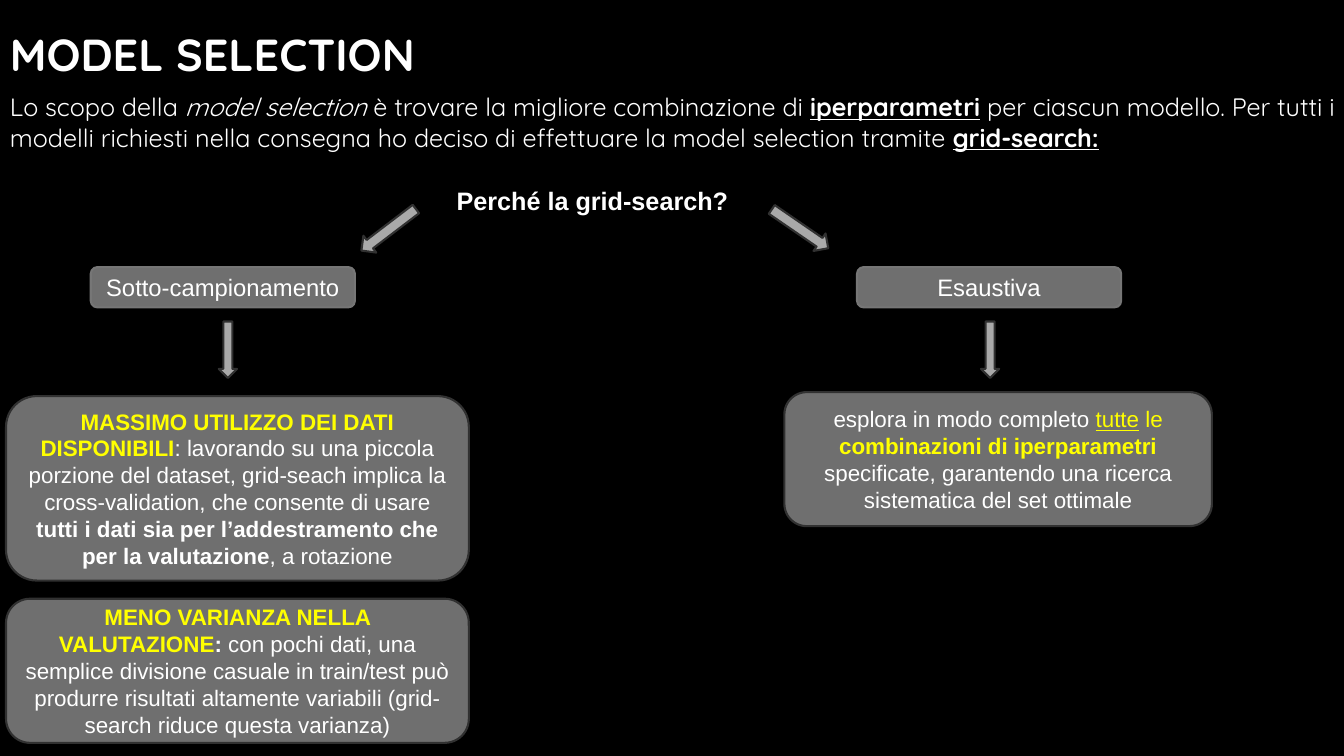
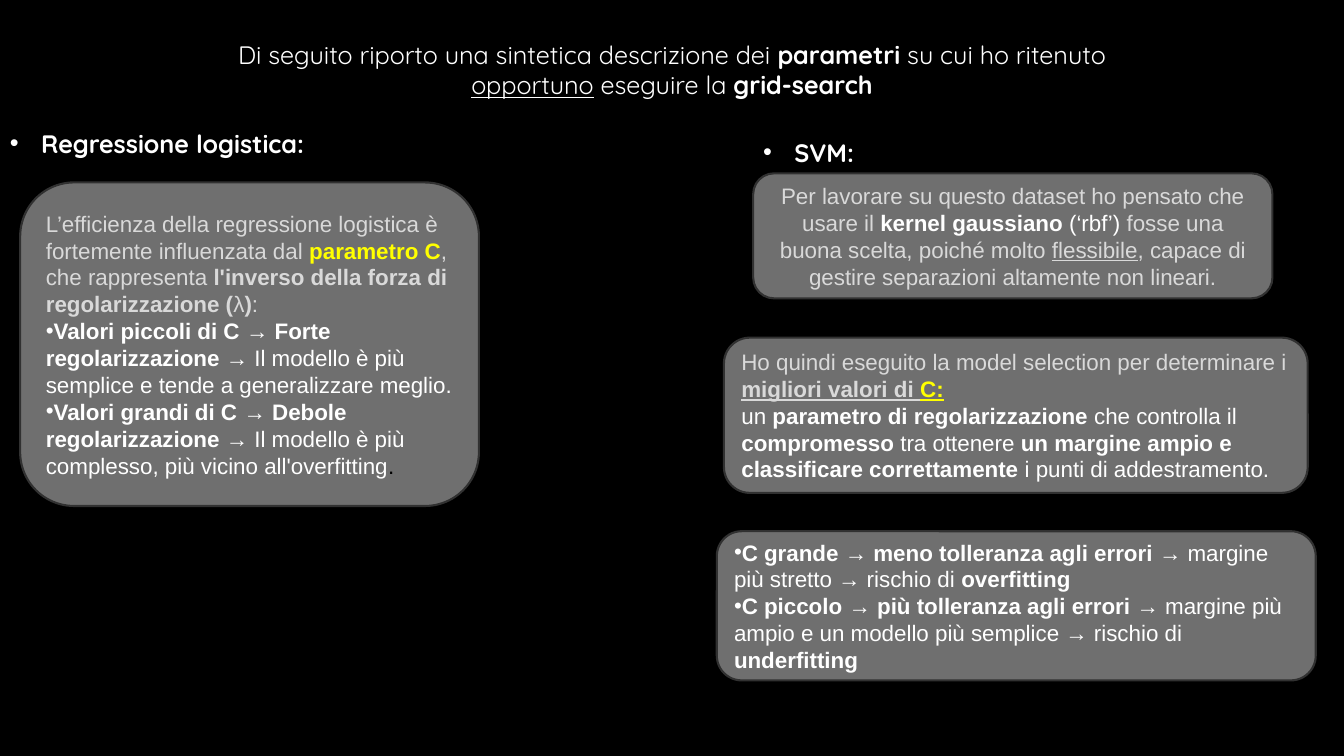
"""Build two dark slides on model selection with grid-search."""
from dataclasses import dataclass

from lxml import etree
from pptx import Presentation
from pptx.dml.color import RGBColor
from pptx.enum import shapes, text
from pptx.oxml import ns
from pptx.util import Inches, Pt


@dataclass(frozen=True)
class Theme:
    """Colours, fonts and type sizes shared by the slides."""
    background: str = "000000"
    white: str = "FFFFFF"
    muted: str = "D9D9D9"
    accent: str = "FFFF00"
    card: str = "6F6F6F"
    arrow: str = "A9A9A9"
    outline: str = "313131"
    tag_outline: str = "767676"
    heading_font: str = "Quicksand"
    body_font: str = "Arial"
    title_size: int = 32
    lead_size: int = 18
    tag_size: int = 17
    card_size: int = 16


THEME = Theme()
RUN_COLOURS = {"y": THEME.accent, "g": THEME.muted, "k": THEME.background}
CENTER = text.PP_ALIGN.CENTER
LEFT = text.PP_ALIGN.LEFT
CARD_WIDTH = 4.59
TAG_TOP = 2.65
DOWN_TOP = 3.19


def rgb(value):
    """Turn a hex string into a colour."""
    return RGBColor.from_string(value)


def add_bullet(p, indent):
    """Give a paragraph a round bullet with a hanging indent."""
    props = p._p.get_or_add_pPr()
    props.set("marL", str(Inches(indent)))
    props.set("indent", str(-Inches(indent)))
    etree.SubElement(props, ns.qn("a:buFont")).set("typeface", THEME.body_font)
    etree.SubElement(props, ns.qn("a:buChar")).set("char", "•")


def add_run(p, words, flags, font, size):
    """Add a run; flags are b, i, u for style and y, g, k for colour."""
    r = p.add_run()
    r.text = words
    r.font.name = font
    r.font.size = Pt(size)
    r.font.bold = "b" in flags
    r.font.italic = "i" in flags
    r.font.underline = "u" in flags
    colour = next((RUN_COLOURS[f] for f in flags if f in RUN_COLOURS), THEME.white)
    r.font.color.rgb = rgb(colour)


def write(tf, paragraphs, font, size, align=LEFT, bullets=(), indent=0.0):
    """Fill a text frame; bullets lists the indexes of bulleted paragraphs."""
    for index, runs in enumerate(paragraphs):
        p = tf.add_paragraph() if index else tf.paragraphs[0]
        p.alignment = align
        if index in bullets:
            add_bullet(p, indent)
        for words, flags in runs:
            add_run(p, words, flags, font, size)


def add_text(s, box, runs, font=THEME.heading_font, size=THEME.lead_size,
             align=LEFT, anchor=text.MSO_ANCHOR.TOP, wrap=True, bullets=()):
    """Add a one-paragraph text box."""
    tf = s.shapes.add_textbox(*map(Inches, box)).text_frame
    tf.word_wrap = wrap
    tf.vertical_anchor = anchor
    write(tf, [runs], font, size, align, bullets, 0.31)


def add_block(s, kind, box, fill, outline):
    """Add a flat filled shape with a thin outline."""
    sp = s.shapes.add_shape(kind, *map(Inches, box))
    sp.shadow.inherit = False
    sp.fill.solid()
    sp.fill.fore_color.rgb = rgb(fill)
    sp.line.color.rgb = rgb(outline)
    sp.line.width = Pt(1.5)
    return sp


def add_card(s, box, paragraphs, align=LEFT, bullets=(),
             size=THEME.card_size, outline=THEME.outline):
    """Add a rounded grey card holding text."""
    sp = add_block(s, shapes.MSO_SHAPE.ROUNDED_RECTANGLE, box, THEME.card, outline)
    tf = sp.text_frame
    tf.word_wrap = True
    tf.vertical_anchor = text.MSO_ANCHOR.MIDDLE
    write(tf, paragraphs, THEME.body_font, size, align, bullets)


def add_tag(s, left, words):
    """Add a short centred label card."""
    add_card(s, (left, TAG_TOP, 2.62, 0.4), [[(words, "")]], CENTER,
             size=THEME.tag_size, outline=THEME.tag_outline)


def add_arrow(s, box, rotation=0):
    """Add a block arrow pointing down, then turned."""
    sp = add_block(s, shapes.MSO_SHAPE.DOWN_ARROW, box, THEME.arrow, THEME.outline)
    sp.rotation = rotation


def build_selection(s):
    """Build the slide on why grid-search was chosen."""
    add_text(s, (0, 0, 5.22, 1.06), [("MODEL SELECTION", "b")],
             size=THEME.title_size, anchor=text.MSO_ANCHOR.MIDDLE)
    add_text(s, (0, 0.86, 13.35, 0.71), [
        ("Lo scopo della ", ""), ("model selection", "i"),
        (" è trovare la migliore combinazione di ", ""), ("iperparametri", "bu"),
        (" per ciascun modello. Per tutti i modelli richiesti nella consegna "
         "ho deciso di effettuare la model selection tramite ", ""),
        ("grid-search:", "bu")])
    add_text(s, (4.43, 1.79, 2.92, 0.4), [("Perché la grid-search?", "b")],
             font=THEME.body_font, wrap=False)

    add_arrow(s, (3.75, 1.94, 0.21, 0.68), 52.7)
    add_arrow(s, (7.83, 1.93, 0.21, 0.68), 304.5)
    for tag_left, arrow_left, words in ((0.9, 2.17, "Sotto-campionamento"),
                                        (8.5, 9.73, "Esaustiva")):
        add_tag(s, tag_left, words)
        add_arrow(s, (arrow_left, DOWN_TOP, 0.18, 0.56))

    add_card(s, (0.06, 3.93, CARD_WIDTH, 1.83), [[
        ("MASSIMO UTILIZZO DEI DATI DISPONIBILI", "by"),
        (": lavorando su una piccola porzione del dataset, grid-seach implica "
         "la cross-validation, che consente di usare ", ""),
        ("tutti i dati sia per l’addestramento che per la valutazione", "b"),
        (", a rotazione", "")]], CENTER)
    add_card(s, (0.06, 5.94, CARD_WIDTH, 1.43), [[
        ("MENO VARIANZA NELLA VALUTAZIONE", "by"), (": ", "b"),
        ("con pochi dati, una semplice divisione casuale in train/test può "
         "produrre risultati altamente variabili (grid-search riduce questa "
         "varianza)", "")]], CENTER)
    add_card(s, (7.78, 3.89, 4.24, 1.33), [[
        ("esplora in modo completo ", ""), ("tutte", "uy"), (" le ", "y"),
        ("combinazioni di iperparametri ", "by"),
        ("specificate, garantendo una ricerca sistematica del set ottimale", "")]],
        CENTER)


def build_parameters(s):
    """Build the slide on the parameters searched for each model."""
    add_text(s, (2.2, 0.34, 8.93, 0.71), [
        ("Di seguito riporto una sintetica descrizione dei ", ""),
        ("parametri", "b"), (" su cui ho ritenuto ", ""), ("opportuno", "u"),
        (" eseguire la ", ""), ("grid-search", "b")], align=CENTER)
    add_text(s, (0, 1.22, 3.33, 0.4), [("Regressione logistica:", "b")], bullets=(0,))
    add_text(s, (7.47, 1.31, 2.51, 0.4), [("SVM:", "b")], bullets=(0,))

    add_card(s, (0.2, 1.81, 4.55, 3.21), [
        [("L’efficienza della regressione logistica è fortemente influenzata dal ", "g"),
         ("parametro C", "by"), (", che rappresenta ", "g"),
         ("l'inverso della forza di regolarizzazione (", "bg"), ("λ", "g"),
         (")", "bg"), (":", "g")],
        [("Valori piccoli di C", "b"), (" → ", ""), ("Forte regolarizzazione", "b"),
         (" → Il modello è più semplice e tende a generalizzare meglio.", "")],
        [("Valori grandi di C", "b"), (" → ", ""), ("Debole regolarizzazione", "b"),
         (" → Il modello è più complesso, più vicino all'overfitting", ""),
         (".", "k")]], bullets=(1, 2))
    add_card(s, (7.47, 1.72, 5.15, 1.24), [[
        ("Per lavorare su questo dataset ho pensato che usare il ", "g"),
        ("kernel gaussiano ", "b"), ("(‘rbf’) ", ""),
        ("fosse una buona scelta, poiché molto ", "g"), ("flessibile", "ug"),
        (", capace di gestire separazioni altamente non lineari.", "g")]], CENTER)
    add_card(s, (7.18, 3.35, 5.79, 1.54), [
        [("Ho quindi eseguito la model selection per determinare i ", "g"),
         ("migliori valori di ", "bug"), ("C:", "buy")],
        [("un ", ""), ("parametro di regolarizzazione", "b"),
         (" che controlla il ", ""), ("compromesso ", "b"), ("tra ottenere ", ""),
         ("un margine ampio e classificare correttamente ", "b"),
         ("i punti di addestramento.", "")]])
    add_card(s, (7.11, 5.27, 5.94, 1.48), [
        [("C grande", "b"), (" → ", ""), ("meno tolleranza agli errori", "b"),
         (" → margine più stretto → rischio di ", ""), ("overfitting", "b")],
        [("C piccolo", "b"), (" → ", ""), ("più tolleranza agli errori ", "b"),
         ("→ margine più ampio e un modello più semplice → rischio di ", ""),
         ("underfitting", "b")]], bullets=(0, 1))


def main():
    """Create the presentation and save it."""
    prs = Presentation()
    prs.slide_width, prs.slide_height = Inches(13.33), Inches(7.5)
    backdrop = prs.slide_master.background.fill
    backdrop.solid()
    backdrop.fore_color.rgb = rgb(THEME.background)
    for build in (build_selection, build_parameters):
        build(prs.slides.add_slide(prs.slide_layouts[6]))
    prs.save("out.pptx")


if __name__ == "__main__":
    main()
